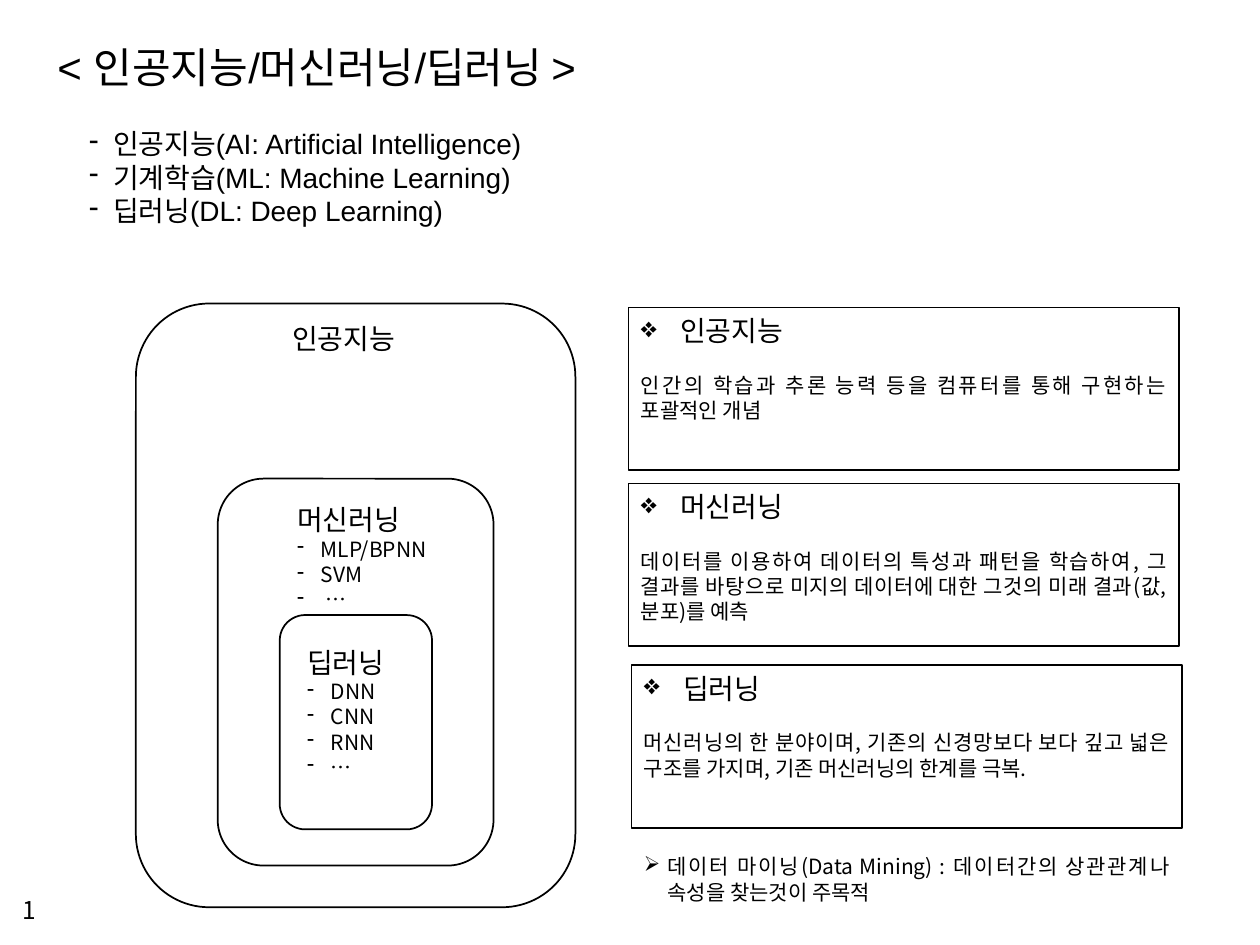
from lxml import etree
from pptx import Presentation
from pptx.dml.color import RGBColor
from pptx.enum.shapes import MSO_SHAPE
from pptx.enum.text import MSO_ANCHOR, PP_ALIGN
from pptx.oxml.ns import qn
from pptx.util import Cm, Pt

RECT = MSO_SHAPE.RECTANGLE
ROUNDED = MSO_SHAPE.ROUNDED_RECTANGLE
LEFT, JUSTIFY = PP_ALIGN.LEFT, PP_ALIGN.JUSTIFY
TOP, MIDDLE = MSO_ANCHOR.TOP, MSO_ANCHOR.MIDDLE

KOREAN_FONT = "Noto Sans CJK KR"
LATIN_FONT = "Arial"


def color(hex_code):
    return RGBColor.from_string(hex_code)


def para(text, **overrides):
    """Describe one paragraph; lengths are in cm, size and spacing in points."""
    style = dict(size=12, font=KOREAN_FONT, align=LEFT, before=0,
                 bullet=None, margin=0, hanging=0)
    return {"text": text, **style, **overrides}


def item(text, bullet="-", **overrides):
    return para(text, bullet=bullet, **{"margin": 0.48, "hanging": 0.48, **overrides})


def heading(text, **overrides):
    return para(text, size=16, **overrides)


class SlideBuilder:
    ink = "000000"
    line_width = 1

    def __init__(self, slide):
        self.slide = slide

    def outline(self, kind, left, top, width, height):
        shape = self.slide.shapes.add_shape(
            kind, Cm(left), Cm(top), Cm(width), Cm(height))
        shape.shadow.inherit = False
        shape.fill.background()
        shape.line.color.rgb = color(self.ink)
        shape.line.width = Pt(self.line_width)
        return shape

    def text(self, left, top, width, height, paragraphs, anchor=TOP):
        box = self.slide.shapes.add_textbox(Cm(left), Cm(top), Cm(width), Cm(height))
        self.fill_frame(box.text_frame, paragraphs, anchor)

    def card(self, left, top, width, height, paragraphs):
        shape = self.outline(RECT, left, top, width, height)
        self.fill_frame(shape.text_frame, paragraphs)

    def fill_frame(self, frame, paragraphs, anchor=TOP):
        frame.word_wrap = True
        frame.vertical_anchor = anchor
        for index, style in enumerate(paragraphs):
            paragraph = frame.add_paragraph() if index else frame.paragraphs[0]
            paragraph.alignment = style["align"]
            paragraph.space_before = Pt(style["before"])
            if style["bullet"]:
                self.add_bullet(paragraph, style)
            run = paragraph.add_run()
            run.text = style["text"]
            run.font.size = Pt(style["size"])
            run.font.name = style["font"]
            run.font.color.rgb = color(self.ink)
            east_asian = etree.SubElement(run.font._element, qn("a:ea"))
            east_asian.set("typeface", KOREAN_FONT)

    def add_bullet(self, paragraph, style):
        properties = paragraph._p.get_or_add_pPr()
        properties.set("marL", str(Cm(style["margin"])))
        properties.set("indent", str(-Cm(style["hanging"])))
        etree.SubElement(properties, qn("a:buChar")).set("char", style["bullet"])


def main():
    presentation = Presentation()
    presentation.slide_width, presentation.slide_height = Cm(25.4), Cm(19.05)
    builder = SlideBuilder(presentation.slides.add_slide(presentation.slide_layouts[6]))

    terms = ["인공지능(AI: Artificial Intelligence)",
             "기계학습(ML: Machine Learning)",
             "딥러닝(DL: Deep Learning)"]
    title = para("< 인공지능/머신러닝/딥러닝 >", size=24, font=LATIN_FONT, before=4)
    builder.text(0.91, 0.71, 23.04, 5, [title] + [
        item(term, size=16, font=LATIN_FONT, margin=1.12, before=0 if row else 20)
        for row, term in enumerate(terms)])
    builder.text(0.2, 17.98, 2, 0.71, [para("1", size=14)], anchor=MIDDLE)

    nested_fields = [
        ((2.74, 6.12, 8.86, 12.17), (5.64, 6.35, 2.9, 0.94), "인공지능", []),
        ((4.39, 9.65, 5.56, 7.8), (5.74, 10.01, 4.47, 2.49), "머신러닝",
         ["MLP/BPNN", "SVM", " …"]),
        ((5.64, 12.4, 3.07, 4.32), (5.94, 12.88, 3.5, 3), "딥러닝",
         ["DNN", "CNN", "RNN", "…"]),
    ]
    for frame, label, name, methods in nested_fields:
        builder.outline(ROUNDED, *frame)
        builder.text(*label, [heading(name)] + [item(method) for method in methods])

    definitions = [
        (12.67, 6.2, "인공지능",
         "인간의 학습과 추론 능력 등을 컴퓨터를 통해 구현하는 포괄적인 개념"),
        (12.67, 9.75, "머신러닝",
         "데이터를 이용하여 데이터의 특성과 패턴을 학습하여, 그 결과를 바탕으로 "
         "미지의 데이터에 대한 그것의 미래 결과(값, 분포)를 예측"),
        (12.73, 13.41, "딥러닝",
         "머신러닝의 한 분야이며, 기존의 신경망보다 보다 깊고 넓은 구조를 가지며, "
         "기존 머신러닝의 한계를 극복."),
    ]
    for left, top, name, meaning in definitions:
        builder.card(left, top, 11.1, 3.28, [
            heading(name, bullet="❖", margin=0.79, hanging=0.79),
            para(meaning, align=JUSTIFY, before=14.3)])

    builder.text(12.73, 17.09, 11.1, 1.27, [
        item("데이터 마이닝(Data Mining) : 데이터간의 상관관계나 속성을 찾는것이 주목적",
             bullet="➢", align=JUSTIFY)])

    presentation.save("out.pptx")


if __name__ == "__main__":
    main()
